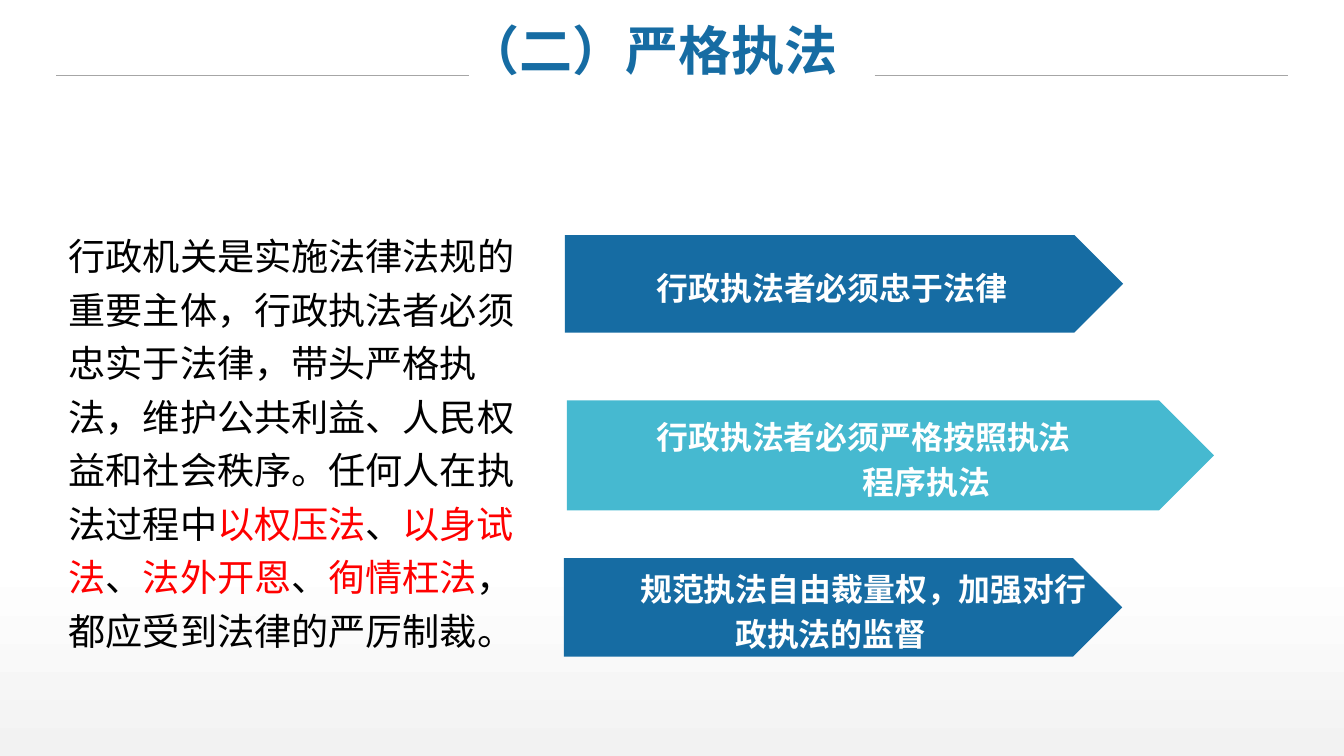
from lxml.etree import SubElement
from pptx import Presentation
from pptx.dml.color import RGBColor
from pptx.enum.shapes import MSO_CONNECTOR, MSO_SHAPE
from pptx.enum.text import MSO_ANCHOR, MSO_AUTO_SIZE, PP_ALIGN
from pptx.oxml.ns import qn
from pptx.util import Inches, Pt

BLUE, TEAL, RED, BLACK, WHITE, GREY = "166CA3", "46B9D0", "FF0000", "000000", "FFFFFF", "A6A6A6"
PAGE_WIDTH, PAGE_HEIGHT = 14.06, 7.91


def color(value):
    """Turn a hex string into a colour."""
    return RGBColor.from_string(value)


class SlideBuilder:
    """Holds the font and the current slide, and draws its elements."""

    font = "Arial"

    def __init__(self, deck):
        """Add a title-only slide to the deck."""
        self.page = deck.slides.add_slide(deck.slide_layouts[5])

    def shape(self, kind, left, top, width, height):
        """Add a preset shape without shadow or outline."""
        shape = self.page.shapes.add_shape(kind, *map(Inches, (left, top, width, height)))
        shape.shadow.inherit = False
        shape.line.fill.background()
        return shape

    def backdrop(self, bottom, top, stop):
        """Cover the page with a fade, behind everything else."""
        panel = self.shape(MSO_SHAPE.RECTANGLE, 0, 0, PAGE_WIDTH, PAGE_HEIGHT)
        panel.fill.gradient()
        panel.fill.gradient_angle = 90
        for mark, value, position in zip(panel.fill.gradient_stops, (bottom, top), (0, stop)):
            mark.color.rgb = color(value)
            mark.position = position
        self.page.shapes.title._element.addprevious(panel._element)

    def style(self, para, size, value=None, bold=False, align=PP_ALIGN.LEFT, spacing=1.2):
        """Set alignment, spacing and font of a paragraph."""
        para.alignment = align
        para.line_spacing = spacing
        para._p.get_or_add_pPr().set("hangingPunct", "0")
        para.font.name = self.font
        para.font.size = Pt(size)
        para.font.bold = bold
        if value:
            para.font.color.rgb = color(value)

    def title(self, text, left, top, width, height):
        """Place and format the title placeholder."""
        box = self.page.shapes.title
        box.left, box.top, box.width, box.height = map(Inches, (left, top, width, height))
        frame = box.text_frame
        frame.text = text
        frame.margin_left = frame.margin_top = frame.margin_right = frame.margin_bottom = 0
        frame.vertical_anchor = MSO_ANCHOR.MIDDLE
        frame.auto_size = MSO_AUTO_SIZE.NONE
        self.style(frame.paragraphs[0], 40, BLUE, True, PP_ALIGN.CENTER, 1.0)

    def rule(self, left, top, width):
        """Draw a thin horizontal line."""
        line = self.page.shapes.add_connector(
            MSO_CONNECTOR.STRAIGHT, Inches(left), Inches(top), Inches(left + width), Inches(top))
        line.line.color.rgb = color(GREY)
        line.line.width = Pt(1)
        SubElement(line._element.spPr, qn("a:effectLst"))

    def body(self, spans, left, top, width, height):
        """Add a text box with one paragraph of coloured spans."""
        box = self.page.shapes.add_textbox(*map(Inches, (left, top, width, height)))
        box.text_frame.word_wrap = True
        para = box.text_frame.paragraphs[0]
        self.style(para, 28)
        for text, value in spans:
            span = para.add_run()
            span.text = text
            span.font.color.rgb = color(value)

    def arrow(self, lines, fill, align, left, top, width, height):
        """Add a pentagon arrow; each line has a text, left margin and first indent."""
        shape = self.shape(MSO_SHAPE.PENTAGON, left, top, width, height)
        shape.fill.solid()
        shape.fill.fore_color.rgb = color(fill)
        frame = shape.text_frame
        frame.word_wrap = True
        frame.vertical_anchor = MSO_ANCHOR.MIDDLE
        for index, (text, margin, indent) in enumerate(lines):
            para = frame.add_paragraph() if index else frame.paragraphs[0]
            para.text = text
            properties = para._p.get_or_add_pPr()
            properties.set("marL", str(Inches(margin)))
            properties.set("indent", str(Inches(indent)))
            self.style(para, 24, WHITE, True, align)


def main():
    """Build the slide and save it."""
    deck = Presentation()
    deck.slide_width, deck.slide_height = Inches(PAGE_WIDTH), Inches(PAGE_HEIGHT)
    slide = SlideBuilder(deck)
    slide.backdrop("F2F2F2", WHITE, 0.26)
    slide.title("（二）严格执法", 4.66, 0.18, 4.32, 0.67)
    for left in (0.59, 9.15):
        slide.rule(left, 0.79, 4.32)

    slide.body([
        ("行政机关是实施法律法规的重要主体，行政执法者必须忠实于法律，带头严格执法，"
         "维护公共利益、人民权益和社会秩序。任何人在执法过程中", BLACK),
        ("以权压法", RED), ("、", BLACK),
        ("以身试法", RED), ("、", BLACK),
        ("法外开恩", RED), ("、", BLACK),
        ("徇情枉法", RED), ("，都应受到法律的严厉制裁。", BLACK),
    ], 0.62, 2.3, 4.92, 4.58)

    slide.arrow([("行政执法者必须忠于法律", 0, 0)],
                BLUE, PP_ALIGN.CENTER, 5.91, 2.46, 5.84, 1.02)
    slide.arrow([("行政执法者必须严格按照执法", 0.84, 0), ("程序执法", 3, 0)],
                TEAL, PP_ALIGN.JUSTIFY, 5.93, 4.19, 6.77, 1.15)
    slide.arrow([("规范执法自由裁量权，加强对行政执法的监督", 0, 0.68)],
                BLUE, PP_ALIGN.CENTER, 5.9, 5.84, 5.84, 1.03)
    deck.save("out.pptx")


if __name__ == "__main__":
    main()
